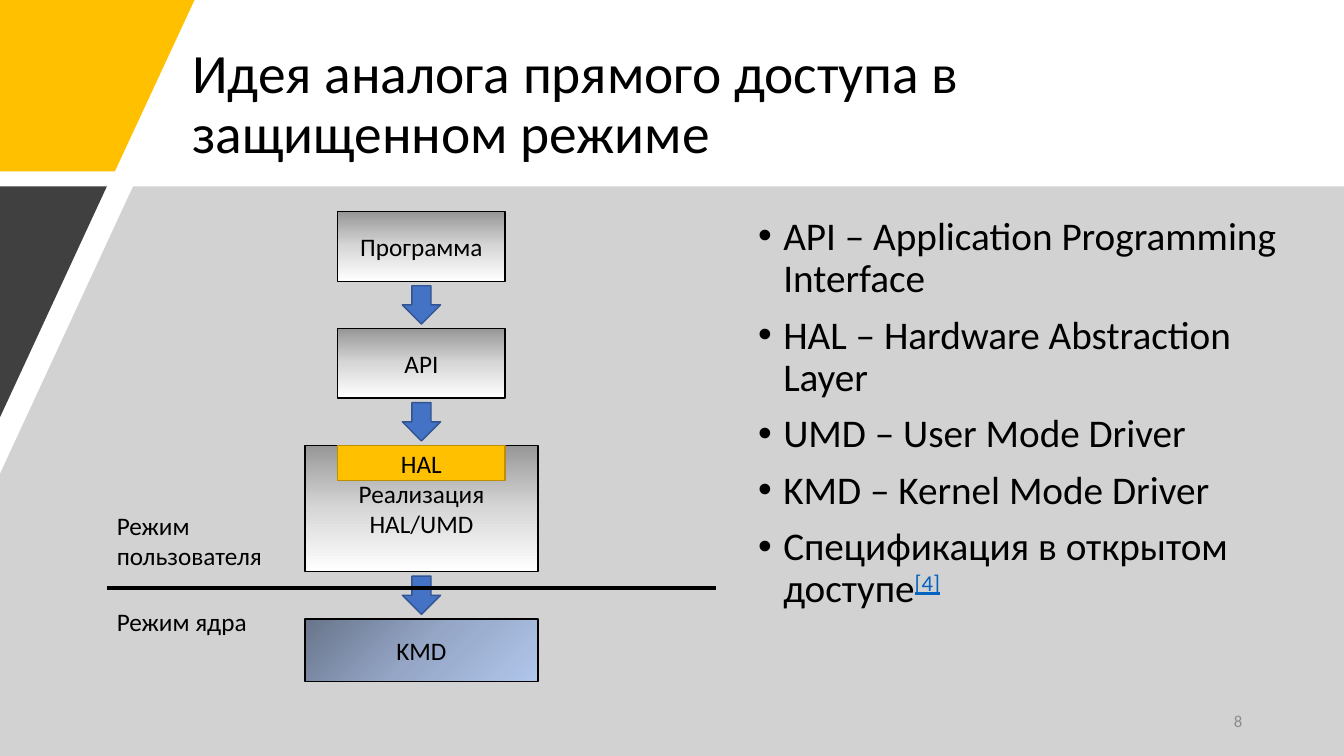
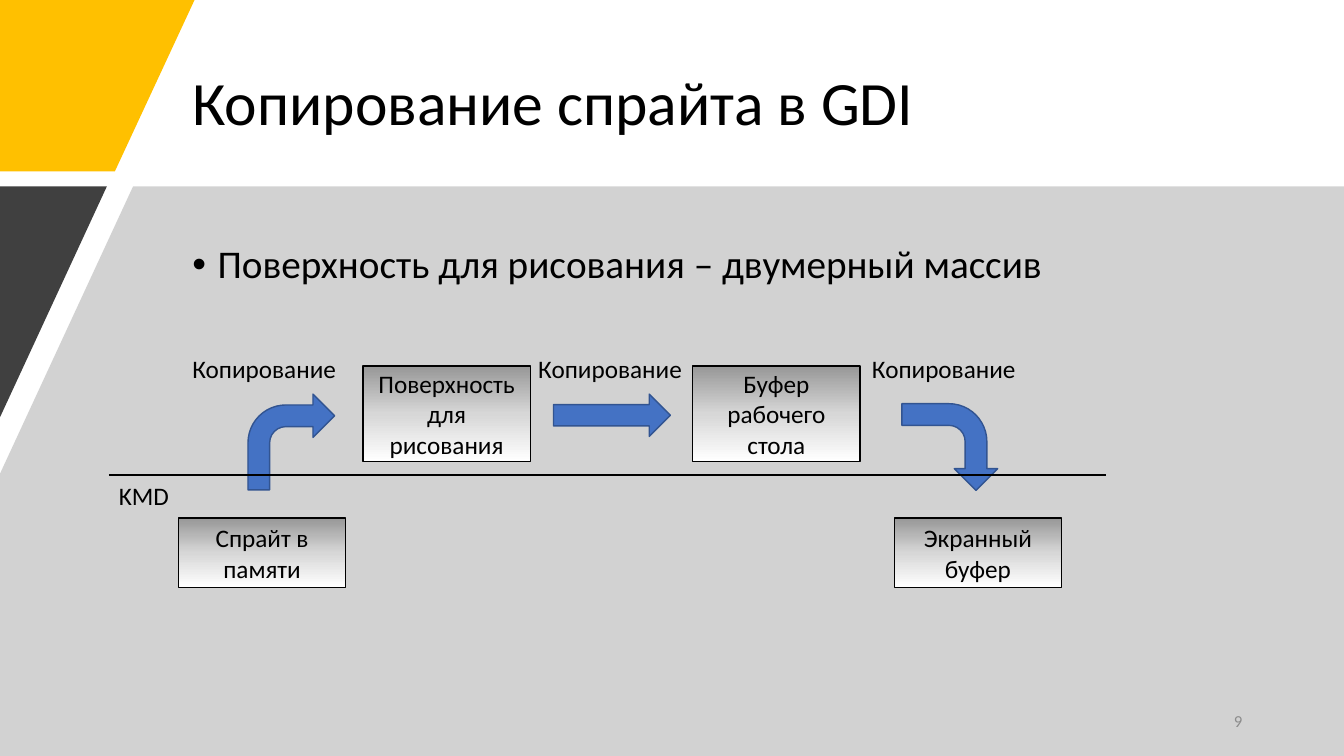
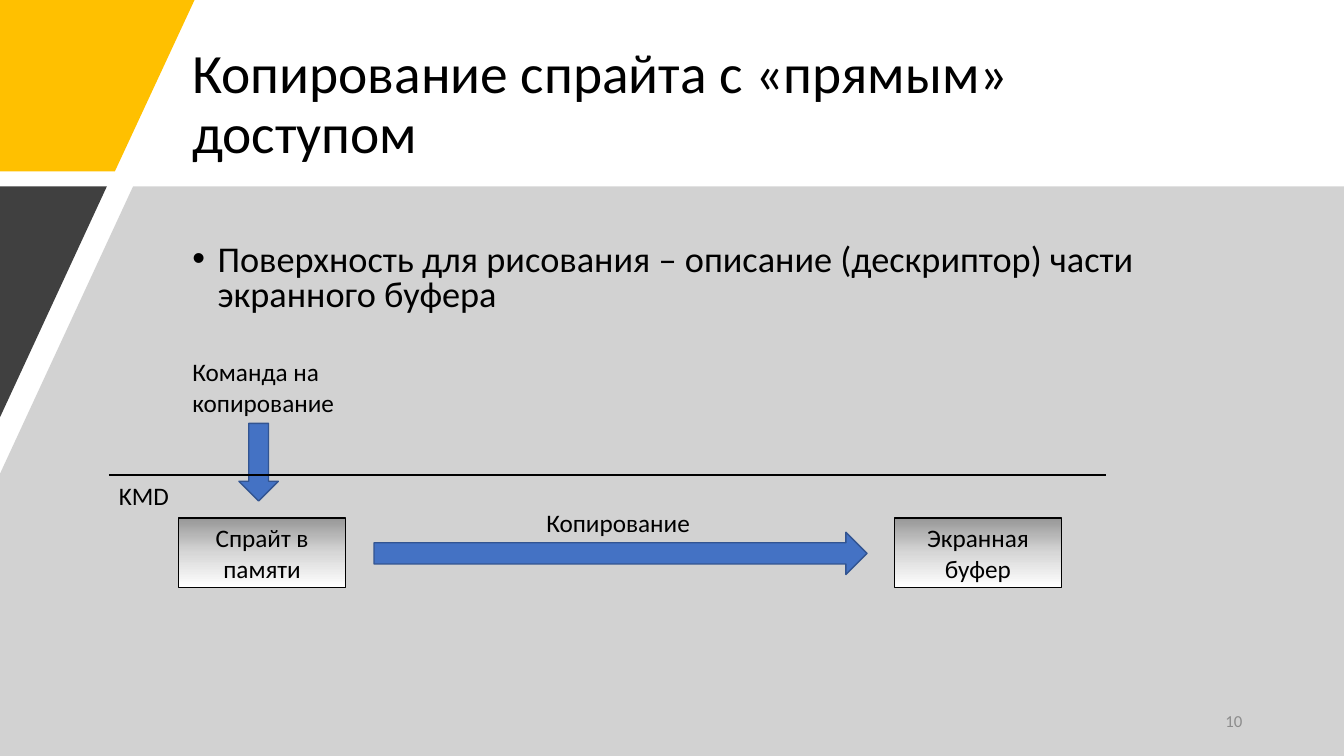
from copy import deepcopy
from dataclasses import dataclass

from lxml.etree import SubElement
from pptx import Presentation
from pptx.dml.color import RGBColor
from pptx.enum.shapes import MSO_CONNECTOR, MSO_SHAPE
from pptx.enum.text import MSO_ANCHOR, PP_ALIGN
from pptx.oxml.ns import qn
from pptx.util import Inches, Pt

# Shared look
FONT = "Calibri"
BLACK = RGBColor(0x00, 0x00, 0x00)
GOLD = RGBColor(0xFF, 0xC0, 0x00)
GOLD_EDGE = RGBColor(0xBD, 0x8E, 0x00)
CHARCOAL = RGBColor(0x40, 0x40, 0x40)
BAND_GRAY = RGBColor(0xA6, 0xA6, 0xA6)
NUMBER_GRAY = RGBColor(0x8C, 0x8C, 0x8C)
ARROW_BLUE = RGBColor(0x44, 0x72, 0xC4)
ARROW_EDGE = RGBColor(0x32, 0x54, 0x91)
LINK_BLUE = RGBColor(0x05, 0x63, 0xC1)
SILVER = (RGBColor(0x97, 0x97, 0x97), RGBColor(0xD7, 0xD7, 0xD7), RGBColor(0xFF, 0xFF, 0xFF))
STEEL = (RGBColor(0x68, 0x75, 0x8B), RGBColor(0x95, 0xA6, 0xC6), RGBColor(0xB0, 0xC6, 0xEB))

LABEL_SIZE = 18
NODE_WIDTH = 1.66
NODE_HEIGHT = 0.69
LABEL_HEIGHT = 0.4
ARROW_THICKNESS = 0.42


@dataclass
class Box:
    left: float
    top: float
    width: float
    height: float

    def inner(self, left, top, width, height):
        """A box whose place is counted from this box's corner."""
        return Box(self.left + left, self.top + top, width, height)

    def lengths(self):
        return [Inches(v) for v in (self.left, self.top, self.width, self.height)]


TITLE_BOX = Box(1.81, 0.4, 10.24, 1.3)
NUMBER_BOX = Box(9.42, 6.95, 3, 0.4)
STACK_BOX = Box(1.06, 2.1, 6.04, 4.66)
TERMS_BOX = Box(7.42, 2.1, 5.42, 4.28)
FLOW_BOX = Box(1.08, 3.46, 9.89, 2.38)


# Basic parts
def style_span(span, size, color=BLACK):
    span.font.name = FONT
    span.font.size = Pt(size)
    span.font.color.rgb = color


def write(frame, text, size, color=BLACK, align=PP_ALIGN.LEFT, anchor=MSO_ANCHOR.TOP):
    frame.word_wrap = True
    frame.vertical_anchor = anchor
    frame.text = text
    for para in frame.paragraphs:
        para.alignment = align
        for span in para.runs:
            style_span(span, size, color)


def add_text(page, box, text, size=LABEL_SIZE, **style):
    frame = page.shapes.add_textbox(*box.lengths()).text_frame
    write(frame, text, size, **style)
    return frame


def add_preset(page, kind, box, edge):
    shape = page.shapes.add_shape(kind, *box.lengths())
    shape.shadow.inherit = False
    shape.line.color.rgb = edge
    shape.line.width = Pt(1)
    return shape


def add_arrow(page, kind, box, rotation=0):
    arrow = add_preset(page, kind, box, ARROW_EDGE)
    arrow.fill.solid()
    arrow.fill.fore_color.rgb = ARROW_BLUE
    arrow.rotation = rotation


def fill_gradient(shape, colors, angle):
    shape.fill.gradient()
    shape.fill.gradient_angle = 360 - angle
    stop_list = shape._element.spPr.find(".//" + qn("a:gsLst"))
    stop_list.append(deepcopy(stop_list[0]))
    for index, (stop, color) in enumerate(zip(shape.fill.gradient_stops, colors)):
        stop.color.rgb = color
        stop.position = index / 2


def add_node(page, box, text, colors=SILVER, angle=90):
    node = add_preset(page, MSO_SHAPE.RECTANGLE, box, BLACK)
    fill_gradient(node, colors, angle)
    write(node.text_frame, text, LABEL_SIZE, align=PP_ALIGN.CENTER, anchor=MSO_ANCHOR.MIDDLE)


def add_rule(page, box, offset, width):
    height = Inches(box.top + offset)
    rule = page.shapes.add_connector(
        MSO_CONNECTOR.STRAIGHT, Inches(box.left), height, Inches(box.left + box.width), height)
    rule.line.color.rgb = BLACK
    rule.line.width = Pt(width)
    SubElement(rule._element.spPr, qn("a:effectLst"))


def add_outline(page, points, color, opacity=100):
    (left, top), *others = [(Inches(x), Inches(y)) for x, y in points]
    builder = page.shapes.build_freeform(left, top)
    builder.add_line_segments(others, close=True)
    outline = builder.convert_to_shape()
    outline.shadow.inherit = False
    outline.line.fill.background()
    outline.fill.solid()
    outline.fill.fore_color.rgb = color
    if opacity < 100:
        color_node = outline._element.spPr.find(".//" + qn("a:srgbClr"))
        SubElement(color_node, qn("a:alpha")).set("val", str(opacity * 1000))


def add_bullets(page, box, items, size=28, spacing=0.9):
    frame = add_text(page, box, "\n".join(items), size)
    for para in frame.paragraphs:
        para.line_spacing = spacing
        para.space_before = Pt(10)
        properties = para._p.get_or_add_pPr()
        properties.set("marL", str(Inches(0.25)))
        properties.set("indent", str(-Inches(0.25)))
        SubElement(properties, qn("a:buFont")).set("typeface", "Arial")
        SubElement(properties, qn("a:buChar")).set("char", "•")
    return frame


# Page frame: bands, title and number
def add_page(deck, title, number, title_size):
    page = deck.slides.add_slide(deck.slide_layouts[6])
    add_outline(page, [(0, 0), (1.93, 0), (1.14, 1.7), (0, 1.7)], GOLD)
    add_outline(page, [(1.32, 1.85), (13.33, 1.85), (13.33, 7.5), (0, 7.5), (0, 4.7)],
                BAND_GRAY, opacity=50)
    add_outline(page, [(0, 1.85), (1.06, 1.85), (0, 4.14)], CHARCOAL)
    heading = add_text(page, TITLE_BOX, title, title_size, anchor=MSO_ANCHOR.MIDDLE)
    heading.paragraphs[0].line_spacing = 0.9
    add_text(page, NUMBER_BOX, str(number), 12, color=NUMBER_GRAY,
             align=PP_ALIGN.RIGHT, anchor=MSO_ANCHOR.MIDDLE)
    return page


# Layers from program down to kernel driver
def add_layer_stack(page, box):
    gap, arrow, center, wide = 0.47, 0.38, 3.12, 2.31
    layers = [
        ("Программа", NODE_WIDTH, NODE_HEIGHT, SILVER, 90),
        ("API", NODE_WIDTH, NODE_HEIGHT, SILVER, 90),
        ("Реализация HAL/UMD", wide, 1.25, SILVER, 90),
        ("KMD", wide, 0.62, STEEL, 45),
    ]
    top = 0
    for index, (text, width, height, colors, angle) in enumerate(layers):
        if index:
            add_arrow(page, MSO_SHAPE.DOWN_ARROW, box.inner(
                center - arrow / 2, top - (gap + arrow) / 2, arrow, arrow))
        add_node(page, box.inner(center - width / 2, top, width, height), text, colors, angle)
        top += height + gap

    hal_box = box.inner(center - NODE_WIDTH / 2, 2 * (NODE_HEIGHT + gap), NODE_WIDTH, 0.35)
    hal = add_preset(page, MSO_SHAPE.RECTANGLE, hal_box, GOLD_EDGE)
    hal.fill.solid()
    hal.fill.fore_color.rgb = GOLD
    write(hal.text_frame, "HAL", LABEL_SIZE, align=PP_ALIGN.CENTER, anchor=MSO_ANCHOR.MIDDLE)

    add_rule(page, box, 3.73, 3)
    add_text(page, box.inner(0, 2.91, 1.69, 0.7), "Режим пользователя")
    add_text(page, box.inner(0, 3.87, 1.69, LABEL_HEIGHT), "Режим ядра")


# Kernel side shared by both copying schemes
def add_kernel_side(page, box, screen_text):
    add_rule(page, box, 1.25, 1.5)
    add_text(page, box.inner(0, 1.26, 0.75, LABEL_HEIGHT), "KMD")
    for left, text in ((0.69, "Спрайт в памяти"), (7.79, screen_text)):
        add_node(page, box.inner(left, 1.68, NODE_WIDTH, NODE_HEIGHT), text)


def add_gdi_flow(page, box):
    for left, text in ((2.52, "Поверхность для рисования"), (5.79, "Буфер рабочего стола")):
        add_node(page, box.inner(left, 0.17, NODE_WIDTH, 0.95), text)
    for left in (0.73, 4.16, 7.47):
        add_text(page, box.inner(left, 0, NODE_WIDTH, LABEL_HEIGHT), "Копирование")
    add_arrow(page, MSO_SHAPE.BENT_ARROW, box.inner(1.38, 0.45, 0.86, 0.95))
    add_arrow(page, MSO_SHAPE.RIGHT_ARROW, box.inner(4.41, 0.45, 1.16, ARROW_THICKNESS))
    add_arrow(page, MSO_SHAPE.BENT_ARROW, box.inner(7.91, 0.5, 0.86, 0.95), rotation=90)
    add_kernel_side(page, box, "Экранный буфер")


def add_direct_flow(page, box):
    add_text(page, box.inner(0.73, 0.03, NODE_WIDTH, 0.71), "Команда на копирование")
    add_arrow(page, MSO_SHAPE.DOWN_ARROW, box.inner(1.29, 0.74, 0.39, 0.77))
    add_text(page, box.inner(4.24, 1.52, NODE_WIDTH, LABEL_HEIGHT), "Копирование")
    add_arrow(page, MSO_SHAPE.RIGHT_ARROW, box.inner(2.63, 1.82, 4.89, ARROW_THICKNESS))
    add_kernel_side(page, box, "Экранная буфер")


def add_terms(page, box):
    frame = add_bullets(page, box, [
        "API – Application Programming Interface",
        "HAL – Hardware Abstraction Layer",
        "UMD – User Mode Driver",
        "KMD – Kernel Mode Driver",
        "Спецификация в открытом доступе",
    ])
    reference = frame.paragraphs[-1].add_run()
    reference.text = "[4]"
    style_span(reference, 28, LINK_BLUE)
    reference.font.underline = True
    reference.font._element.set("baseline", "30000")


def main():
    deck = Presentation()
    deck.slide_width = Inches(13.33)
    deck.slide_height = Inches(7.5)

    page = add_page(deck, "Идея аналога прямого доступа в защищенном режиме", 8, 39.6)
    add_layer_stack(page, STACK_BOX)
    add_terms(page, TERMS_BOX)

    page = add_page(deck, "Копирование спрайта в GDI", 9, 44)
    add_bullets(page, Box(1.81, 2.38, 10.24, 0.55),
                ["Поверхность для рисования – двумерный массив"])
    add_gdi_flow(page, FLOW_BOX)

    page = add_page(deck, "Копирование спрайта с «прямым» доступом", 10, 39.6)
    add_bullets(page, Box(1.81, 2.38, 10.24, 0.81),
                ["Поверхность для рисования – описание (дескриптор) части экранного буфера"],
                size=25.9, spacing=0.8)
    add_direct_flow(page, FLOW_BOX)

    deck.save("out.pptx")


if __name__ == "__main__":
    main()
